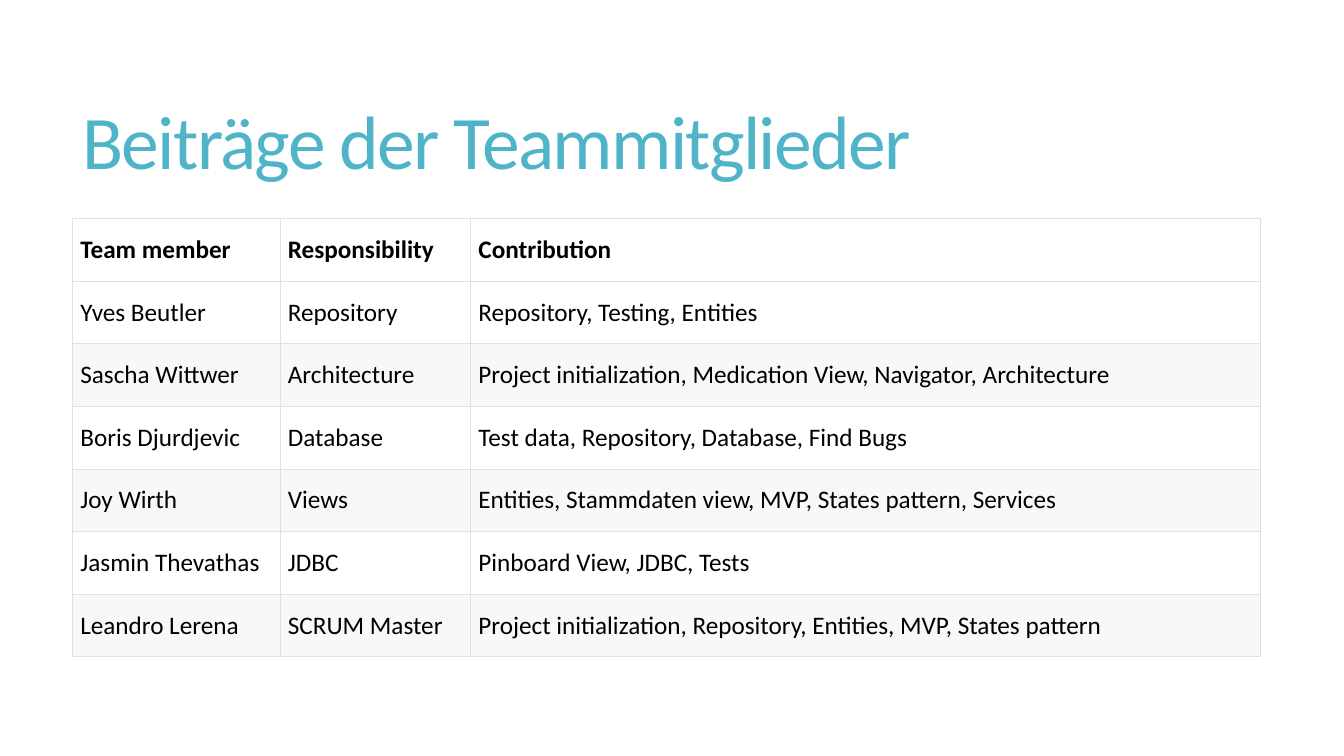
from dataclasses import dataclass

from lxml import etree
from pptx import Presentation
from pptx import util as u
from pptx.dml.color import RGBColor
from pptx.enum import text
from pptx.oxml import ns

Pt = u.Pt


@dataclass(frozen=True)
class Theme:
    font: str = "Calibri"
    title_color: str = "50B4C8"
    text_color: str = "000000"
    row_fill: str = "FFFFFF"
    band_fill: str = "F6F8FA"
    border: str = "DFE2E5"
    border_width: float = 0.6
    title_size: int = 54
    body_size: int = 18


THEME = Theme()

COLUMN_WIDTHS = (148.3, 136.1, 563.8)
ROWS = (
    ("Team member", "Responsibility", "Contribution"),
    ("Yves Beutler", "Repository", "Repository, Testing, Entities"),
    ("Sascha Wittwer", "Architecture",
     "Project initialization, Medication View, Navigator, Architecture"),
    ("Boris Djurdjevic", "Database", "Test data, Repository, Database, Find Bugs"),
    ("Joy Wirth", "Views", "Entities, Stammdaten view, MVP, States pattern, Services"),
    ("Jasmin Thevathas", "JDBC", "Pinboard View, JDBC, Tests"),
    ("Leandro Lerena", "SCRUM Master",
     "Project initialization, Repository, Entities, MVP, States pattern"),
)


def add_run(p, content, size, color, bold=False):
    r = p.add_run()
    r.text = content
    r.font.name = THEME.font
    r.font.size = Pt(size)
    r.font.bold = bold
    r.font.color.rgb = RGBColor.from_string(color)
    return r


def add_title(s, content, left, top, width, height):
    tf = s.shapes.add_textbox(Pt(left), Pt(top), Pt(width), Pt(height)).text_frame
    tf.word_wrap = True
    tf.vertical_anchor = text.MSO_ANCHOR.MIDDLE
    p = tf.paragraphs[0]
    p.line_spacing = 0.85
    r = add_run(p, content, THEME.title_size, THEME.title_color)
    r.font._element.set("spc", "-120")


def set_borders(cell):
    tc_pr = cell._tc.get_or_add_tcPr()
    for i, side in enumerate(("lnL", "lnR", "lnT", "lnB")):
        ln = etree.Element(ns.qn(f"a:{side}"), w=str(Pt(THEME.border_width)))
        fill = etree.SubElement(ln, ns.qn("a:solidFill"))
        etree.SubElement(fill, ns.qn("a:srgbClr"), val=THEME.border)
        tc_pr.insert(i, ln)


def fill_cell(cell, content, fill, bold):
    cell.fill.solid()
    cell.fill.fore_color.rgb = RGBColor.from_string(fill)
    cell.vertical_anchor = text.MSO_ANCHOR.MIDDLE
    cell.margin_left = cell.margin_right = Pt(5.6)
    cell.margin_top = cell.margin_bottom = Pt(2.8)
    add_run(cell.text_frame.paragraphs[0], content, THEME.body_size,
            THEME.text_color, bold)
    set_borders(cell)


def add_team_table(s, left, top, width, height):
    table = s.shapes.add_table(len(ROWS), len(COLUMN_WIDTHS),
                               Pt(left), Pt(top), Pt(width), Pt(height)).table
    for column, share in zip(table.columns, COLUMN_WIDTHS):
        column.width = Pt(width * share / sum(COLUMN_WIDTHS))
    for i, row in enumerate(ROWS):
        table.rows[i].height = Pt(height / len(ROWS))
        banded = i > 0 and i % 2 == 0
        fill = THEME.band_fill if banded else THEME.row_fill
        for j, content in enumerate(row):
            fill_cell(table.cell(i, j), content, fill, bold=i == 0)


def main():
    prs = Presentation()
    prs.slide_width, prs.slide_height = Pt(960), Pt(540)
    s = prs.slides.add_slide(prs.slide_layouts[6])
    left, width = 51.8, 848.2
    add_title(s, "Beiträge der Teammitglieder", left, 39.6, width, 130.3)
    add_team_table(s, left, 156.2, width, 313)
    prs.save("out.pptx")


if __name__ == "__main__":
    main()
